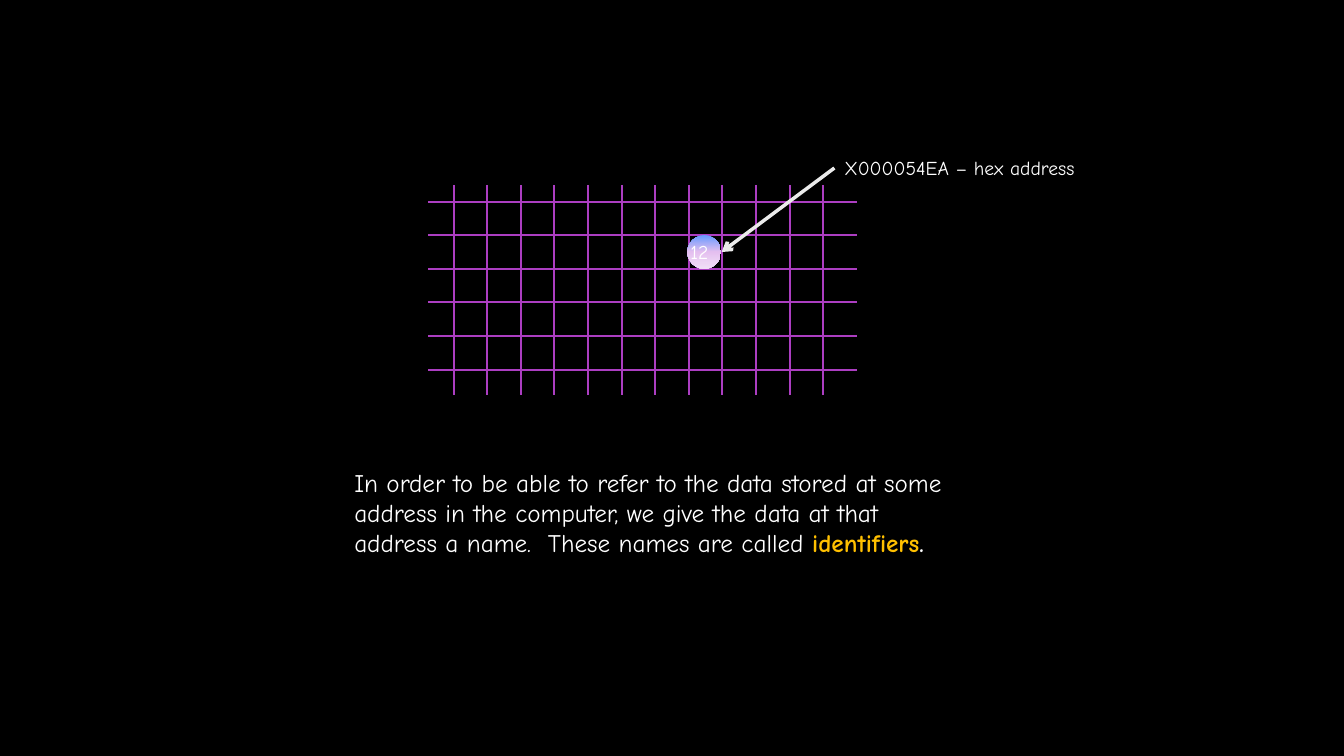
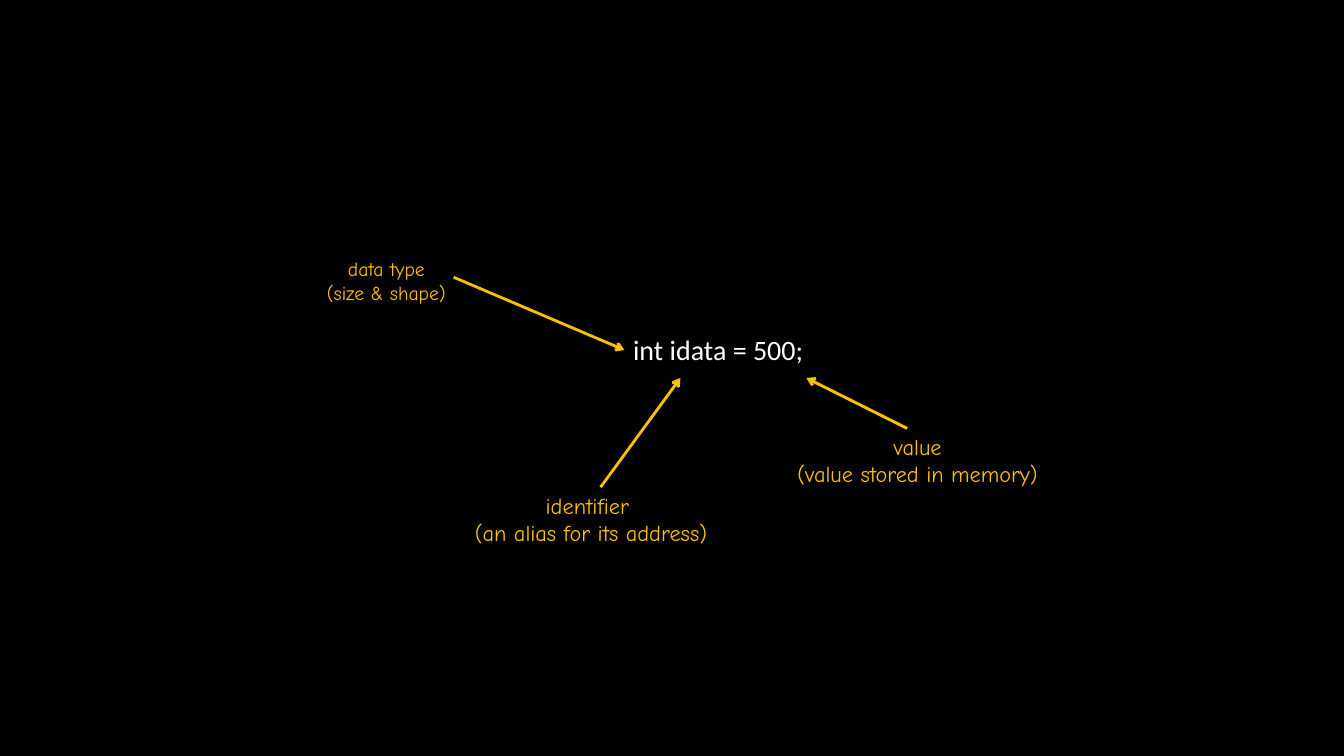
from copy import deepcopy

from lxml.etree import SubElement
from pptx import Presentation
from pptx.dml.color import RGBColor
from pptx.enum.shapes import MSO_CONNECTOR as Connector, MSO_SHAPE as Shape
from pptx.enum.text import PP_ALIGN as Align
from pptx.oxml.ns import qn
from pptx.util import Pt

WHITE = "FFFFFF"
GOLD = "FFC000"
PURPLE = "AC3EC1"
LIGHT_GREY = "EBEBEB"
HAND_FONT = "Comic Neue"
BLANK_LAYOUT = 6

GRID_STEP = 24
GRID_LEFT, GRID_RIGHT = 306, 617
GRID_TOP, GRID_BOTTOM = 132, 282
FIRST_COLUMN, COLUMN_COUNT = 324, 12
FIRST_ROW, ROW_COUNT = 144, 6


def color(hex_text):
    return RGBColor.from_string(hex_text)


def format_run(run, size, hex_text, font=HAND_FONT, bold=False):
    run.font.name = font
    run.font.size = Pt(size)
    run.font.bold = bold
    run.font.color.rgb = color(hex_text)


def add_text(slide, left, top, width, height, text, size,
             hex_text=WHITE, font=HAND_FONT, align=Align.LEFT):
    box = slide.shapes.add_textbox(Pt(left), Pt(top), Pt(width), Pt(height))
    text_frame = box.text_frame
    text_frame.word_wrap = True
    text_frame.text = text
    for paragraph in text_frame.paragraphs:
        paragraph.alignment = align
        for run in paragraph.runs:
            format_run(run, size, hex_text, font)
    return text_frame


def add_centered(slide, center, top, width, height, text, size, **style):
    return add_text(slide, center - width / 2, top, width, height, text, size,
                    align=Align.CENTER, **style)


def add_line(slide, start, end, hex_text, width):
    points = [Pt(value) for value in (*start, *end)]
    line = slide.shapes.add_connector(Connector.STRAIGHT, *points)
    line.line.color.rgb = color(hex_text)
    line.line.width = Pt(width)
    SubElement(line._element.spPr, qn("a:effectLst"))
    return line


def add_arrow(slide, start, end, hex_text, width):
    arrow = add_line(slide, start, end, hex_text, width)
    SubElement(arrow.line._get_or_add_ln(), qn("a:tailEnd"), type="arrow")


def add_memory_grid(slide):
    for row in range(ROW_COUNT):
        y = FIRST_ROW + row * GRID_STEP
        add_line(slide, (GRID_LEFT, y), (GRID_RIGHT - 5, y), PURPLE, 1.5)
    for column in range(COLUMN_COUNT):
        x = FIRST_COLUMN + column * GRID_STEP
        add_line(slide, (x, GRID_TOP), (x, GRID_BOTTOM), PURPLE, 1.5)


def add_gradient_circle(slide, left, top, size, stops):
    circle = slide.shapes.add_shape(Shape.OVAL, Pt(left), Pt(top), Pt(size), Pt(size))
    circle.shadow.inherit = False
    circle.line.fill.background()
    circle.fill.gradient()
    circle.fill.gradient_angle = 270
    stop_list = circle._element.spPr.find(qn("a:gradFill")).find(qn("a:gsLst"))
    while len(stop_list) < len(stops):
        stop_list.append(deepcopy(stop_list[-1]))
    for stop, (position, hex_text) in zip(circle.fill.gradient_stops, stops):
        stop.position = position
        stop.color.rgb = color(hex_text)


def build_address_slide(slide):
    text_frame = add_text(
        slide, 246, 330, 493, 73,
        "In order to be able to refer to the data stored at some\n"
        "address in the computer, we give the data at that\n"
        "address a name.  These names are called ", 18)
    last_paragraph = text_frame.paragraphs[-1]
    for text, hex_text in (("identifiers", GOLD), (".", WHITE)):
        run = last_paragraph.add_run()
        run.text = text
        format_run(run, 18, hex_text, bold=True)

    add_memory_grid(slide)
    add_gradient_circle(slide, 491, 168, GRID_STEP,
                        [(0, "6699FF"), (0.5, "E4BFEF"), (1, "F1E0F7")])
    add_text(slide, 486, 168, 32, 24, "12", 14)
    add_arrow(slide, (596, 120), (515.5, 180), LIGHT_GREY, 2.5)
    add_text(slide, 596, 108, 190, 24, "X000054EA – hex address", 14)


def build_declaration_slide(slide):
    add_centered(slide, 513, 234, 150, 32, "int idata = 500;", 20, font="Calibri")
    labels = [
        (276, 180, 106, 41, "data type\n(size & shape)", 14),
        (419.5, 348, 204, 46, "identifier\n (an alias for its address)", 16),
        (655.5, 306, 200, 46, "value\n(value stored in memory)", 16),
    ]
    for label in labels:
        add_centered(slide, *label, hex_text=GOLD)
    arrows = [
        ((324, 198), (446, 250)),
        ((429, 348), (486, 270)),
        ((648, 306), (576, 270)),
    ]
    for start, end in arrows:
        add_arrow(slide, start, end, GOLD, 2)


def main():
    presentation = Presentation()
    presentation.slide_width, presentation.slide_height = Pt(960), Pt(540)
    background = presentation.slide_master.background.fill
    background.solid()
    background.fore_color.rgb = color("000000")
    for build in (build_address_slide, build_declaration_slide):
        build(presentation.slides.add_slide(presentation.slide_layouts[BLANK_LAYOUT]))
    presentation.save("out.pptx")


if __name__ == "__main__":
    main()
